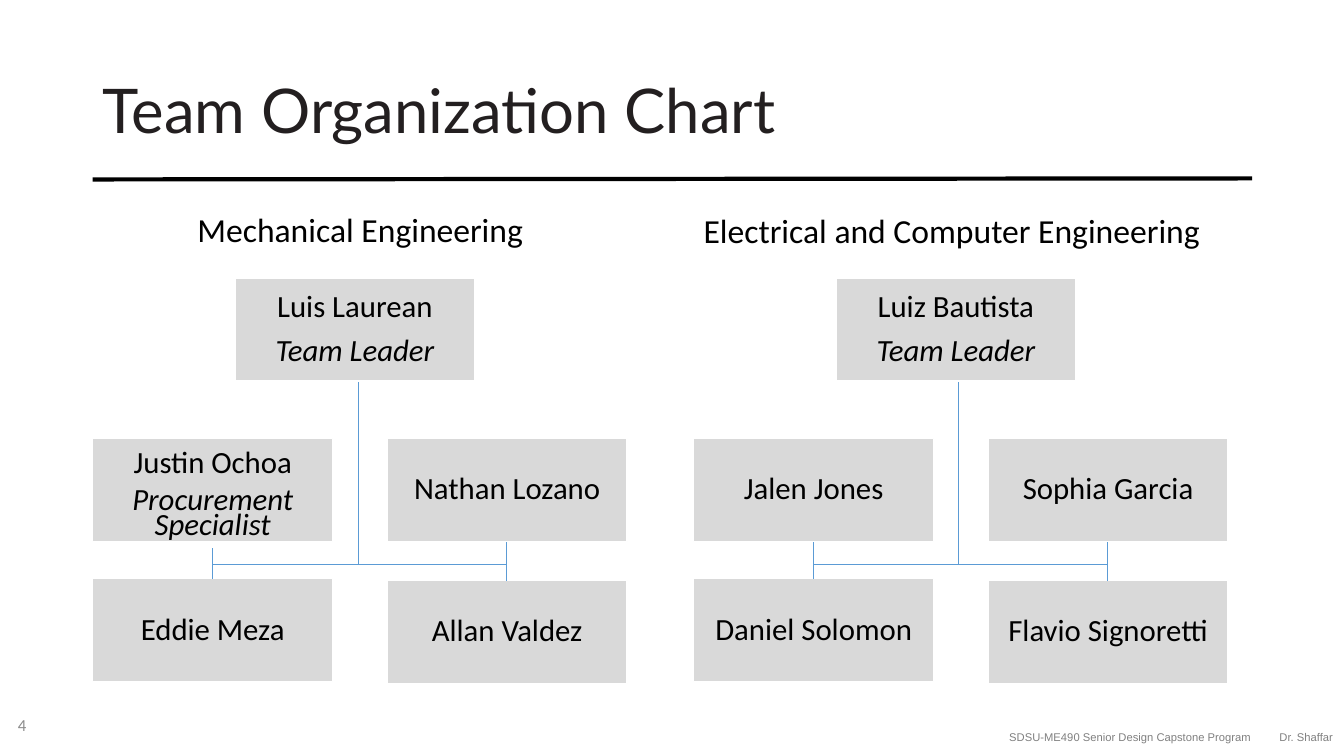
from dataclasses import dataclass
from lxml.etree import SubElement
from pptx import Presentation
from pptx.dml.color import RGBColor
from pptx.enum.shapes import MSO_CONNECTOR, MSO_SHAPE
from pptx.enum.text import MSO_ANCHOR, PP_ALIGN
from pptx.oxml.ns import qn
from pptx.util import Pt

EMU_PER_PX = 9144
SLIDE_WIDTH, SLIDE_HEIGHT = 1333, 750
CARD_WIDTH, CARD_HEIGHT = 238, 102
TEAM_STEP = 596


@dataclass(frozen=True)
class Theme:
    title_font: str = "Lato"
    body_font: str = "Calibri"
    footer_font: str = "Arial"
    title_color: str = "231F20"
    ink: str = "000000"
    card_fill: str = "D9D9D9"
    card_line: str = "FFFFFF"
    branch: str = "5B9BD5"
    footer_color: str = "808080"
    number_color: str = "8C8C8C"
    title_size: int = 44
    heading_size: int = 24
    card_size: int = 22
    number_size: int = 12
    footer_size: int = 8


def px(*lengths):
    return [length * EMU_PER_PX for length in lengths]


def set_values(target, values):
    for name, value in values.items():
        setattr(target, name, value)


class SlideBuilder:
    def __init__(self, deck, theme):
        self.theme = theme
        self.page = deck.slides.add_slide(deck.slide_layouts[5])

    def add_lines(self, frame, lines, font, size, color, paragraph_format, italics=()):
        for index, line in enumerate(lines):
            para = frame.paragraphs[0] if index == 0 else frame.add_paragraph()
            set_values(para, paragraph_format)
            span = para.add_run()
            span.text = line
            set_values(span.font, {"name": font, "size": Pt(size), "italic": index in italics})
            span.font.color.rgb = RGBColor.from_string(color)

    def title(self, text, bounds):
        box = self.page.shapes.title
        set_values(box, dict(zip(("left", "top", "width", "height"), px(*bounds))))
        set_values(box.text_frame, {"word_wrap": True, "vertical_anchor": MSO_ANCHOR.MIDDLE})
        theme = self.theme
        self.add_lines(box.text_frame, [text], theme.title_font, theme.title_size,
                       theme.title_color, {"alignment": PP_ALIGN.LEFT, "line_spacing": 0.9})

    def label(self, text, bounds, font, size, color,
              alignment=PP_ALIGN.LEFT, anchor=MSO_ANCHOR.TOP):
        box = self.page.shapes.add_textbox(*px(*bounds))
        set_values(box.text_frame, {"word_wrap": True, "vertical_anchor": anchor})
        self.add_lines(box.text_frame, [text], font, size, color, {"alignment": alignment})

    def card(self, lines, left, top, spacing=0.9, drop=0):
        theme = self.theme
        box = self.page.shapes.add_shape(
            MSO_SHAPE.RECTANGLE, *px(left, top, CARD_WIDTH, CARD_HEIGHT))
        box.shadow.inherit = False
        box.fill.solid()
        box.fill.fore_color.rgb = RGBColor.from_string(theme.card_fill)
        box.line.color.rgb = RGBColor.from_string(theme.card_line)
        box.line.width = Pt(1)
        margin, top_margin = px(2, 2 + 2 * drop)
        set_values(box.text_frame, {
            "margin_left": margin, "margin_right": margin, "margin_bottom": margin,
            "margin_top": top_margin, "word_wrap": True,
            "vertical_anchor": MSO_ANCHOR.MIDDLE})
        self.add_lines(box.text_frame, lines, theme.body_font, theme.card_size, theme.ink,
                       {"alignment": PP_ALIGN.CENTER, "line_spacing": spacing,
                        "space_after": Pt(7.7)}, italics=(1,))

    def line(self, ends, color, weight):
        connector = self.page.shapes.add_connector(MSO_CONNECTOR.STRAIGHT, *px(*ends))
        connector.line.color.rgb = RGBColor.from_string(color)
        connector.line.width = Pt(weight)
        SubElement(connector._element.spPr, qn("a:effectLst"))

    def team(self, team, left):
        theme = self.theme
        self.label(team["heading"], team["heading_bounds"], theme.body_font,
                   theme.heading_size, theme.ink)
        self.card(team["leader"], left + 141, 276)
        slots = [(0, 435), (292, 435), (0, 574), (292, 576)]
        for member, (offset, top) in zip(team["members"], slots):
            style = {"spacing": 0.7, "drop": 7} if len(member) > 1 else {}
            self.card(member, left + offset, top, **style)
        spine, first, second = left + 263, left + 119, left + 410
        for ends in [(spine, 379, spine, 560), (first, 560, second, 560),
                     (first, team["branch_top"], first, 574), (second, 538, second, 576)]:
            self.line(ends, theme.branch, 0.5)


TEAMS = [
    {"heading": "Mechanical Engineering", "heading_bounds": (186, 202, 376, 50),
     "leader": ["Luis Laurean", "Team Leader"], "branch_top": 544,
     "members": [["Justin Ochoa", "Procurement Specialist"], ["Nathan Lozano"],
                 ["Eddie Meza"], ["Allan Valdez"]]},
    {"heading": "Electrical and Computer Engineering", "heading_bounds": (688, 203, 537, 50),
     "leader": ["Luiz Bautista", "Team Leader"], "branch_top": 538,
     "members": [["Jalen Jones"], ["Sophia Garcia"],
                 ["Daniel Solomon"], ["Flavio Signoretti"]]},
]


def main():
    deck = Presentation()
    deck.slide_width, deck.slide_height = px(SLIDE_WIDTH, SLIDE_HEIGHT)
    theme = Theme()
    builder = SlideBuilder(deck, theme)
    builder.title("Team Organization Chart", (92, 40, 1150, 145))
    builder.line((92, 178, 1242, 177), theme.ink, 3)
    for index, team in enumerate(TEAMS):
        builder.team(team, 92 + index * TEAM_STEP)
    for text, left, width in [("SDSU-ME490 Senior Design Capstone Program", 951, 300),
                              ("Dr. Shaffar", 1232, 100)]:
        builder.label(text, (left, 720, width, 24), theme.footer_font,
                      theme.footer_size, theme.footer_color, PP_ALIGN.RIGHT)
    builder.label("4", (8, 699, 300, 40), theme.body_font, theme.number_size,
                  theme.number_color, anchor=MSO_ANCHOR.MIDDLE)
    deck.save("out.pptx")


if __name__ == "__main__":
    main()
